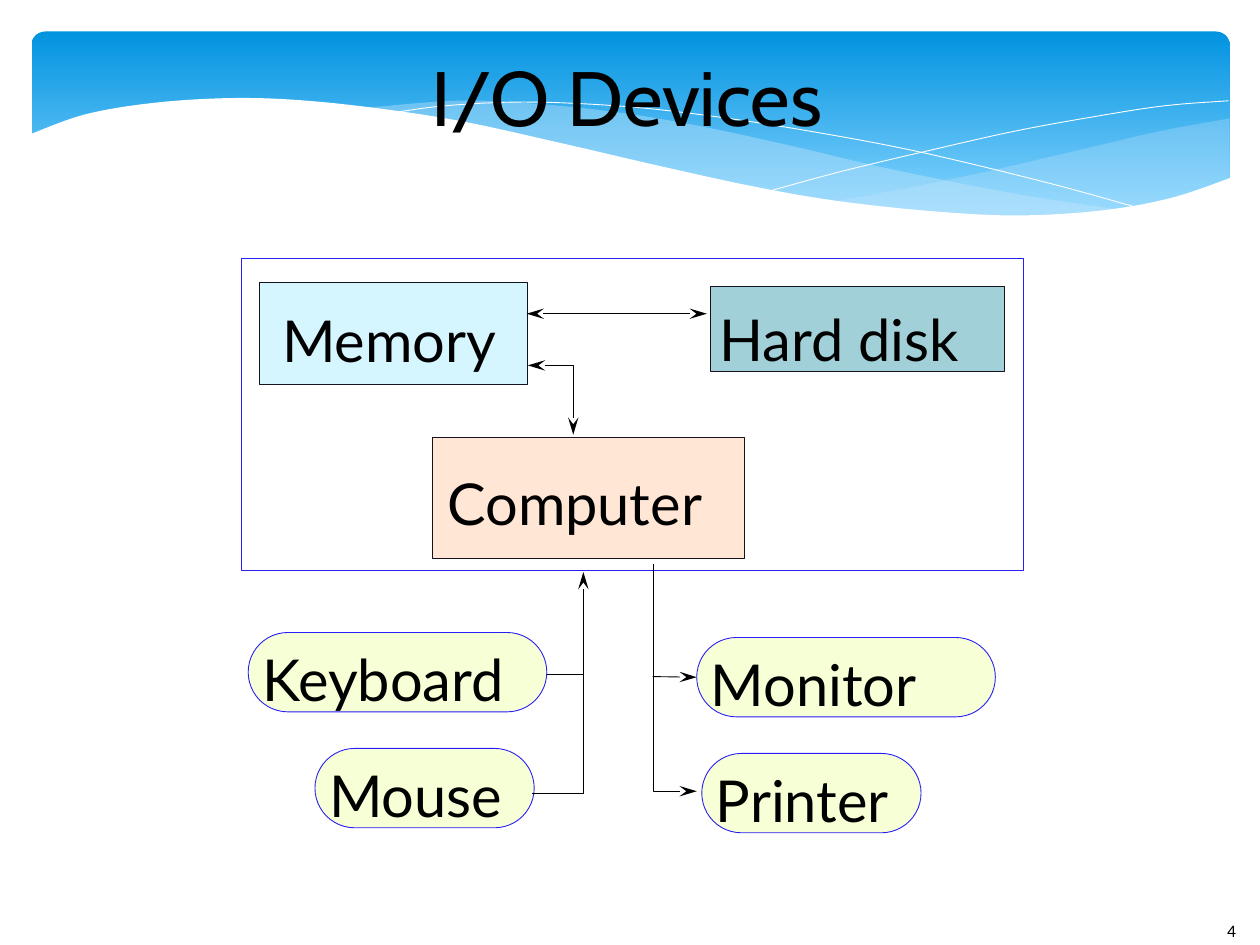
from dataclasses import dataclass

from lxml.etree import SubElement
from pptx import Presentation
from pptx.dml.color import RGBColor
from pptx.enum.shapes import MSO_CONNECTOR as Connector, MSO_SHAPE as Preset
from pptx.enum.text import MSO_ANCHOR as Anchor, PP_ALIGN as Align
from pptx.oxml.ns import qn
from pptx.util import Inches, Pt


@dataclass(frozen=True)
class Theme:
    black: str = "000000"
    white: str = "FFFFFF"
    sky_top: str = "0293E0"
    sky_bottom: str = "83D3FE"
    mist: str = "C6E7FC"
    part_edge: str = "15111D"
    blue_edge: str = "291EF5"
    memory: str = "D5F6FF"
    disk: str = "A2D0D9"
    computer: str = "FFE6D5"
    device: str = "F6FFD5"
    title_font: str = "Cabin"
    label_font: str = "Lato"
    number_font: str = "Calibri"
    title_size: int = 44
    label_size: int = 33
    number_size: int = 10
    hairline: float = 0.5


def smooth(knots, steps=8):
    padded = [knots[0], *knots, knots[-1]]
    points = [knots[0]]
    for a, b, c, d in zip(padded, padded[1:], padded[2:], padded[3:]):
        for step in range(1, steps + 1):
            t = step / steps
            points.append(tuple(
                0.5 * (2 * q + (r - p) * t + (2 * p - 5 * q + 4 * r - s) * t**2
                       + (3 * q - p - 3 * r + s) * t**3)
                for p, q, r, s in zip(a, b, c, d)))
    return points


class SlideBuilder:
    def __init__(self, slide, theme):
        self.slide = slide
        self.theme = theme

    def paint(self, shape, fill=None, edge=None, opacity=None):
        shape.shadow.inherit = False
        if fill:
            shape.fill.solid()
            shape.fill.fore_color.rgb = RGBColor.from_string(fill)
            if opacity:
                color = shape.fill._xPr.find(qn("a:solidFill"))[0]
                SubElement(color, qn("a:alpha"), val=str(opacity * 1000))
        else:
            shape.fill.background()
        if edge:
            self.stroke(shape, edge)
        else:
            shape.line.fill.background()

    def stroke(self, shape, color, ends=()):
        shape.line.color.rgb = RGBColor.from_string(color)
        shape.line.width = Pt(self.theme.hairline)
        line = shape.line._get_or_add_ln()
        for end in ("headEnd", "tailEnd"):
            if end in ends:
                SubElement(line, qn(f"a:{end}"), type="stealth", w="med", len="lg")

    def set_text(self, shape, text, font, size, align=Align.LEFT, anchor=Anchor.TOP,
                 margins=(0, 0, 0, 0)):
        frame = shape.text_frame
        frame.word_wrap = True
        frame.vertical_anchor = anchor
        (frame.margin_left, frame.margin_top,
         frame.margin_right, frame.margin_bottom) = map(Inches, margins)
        frame.text = text
        paragraph = frame.paragraphs[0]
        paragraph.alignment = align
        run_font = paragraph.runs[0].font
        run_font.name = font
        run_font.size = Pt(size)
        run_font.color.rgb = RGBColor.from_string(self.theme.black)

    def text(self, bounds, *content, **layout):
        self.set_text(self.slide.shapes.add_textbox(*map(Inches, bounds)), *content, **layout)

    def box(self, bounds, fill=None, edge=None, label=None, offset=(0, 0),
            preset=Preset.RECTANGLE):
        shape = self.slide.shapes.add_shape(preset, *map(Inches, bounds))
        self.paint(shape, fill, edge)
        if label:
            self.set_text(shape, label, self.theme.label_font, self.theme.label_size,
                          margins=(*offset, 0, 0))
        return shape

    def capsule(self, bounds, label):
        shape = self.box(bounds, self.theme.device, self.theme.blue_edge, label,
                         (0.02, 0), Preset.ROUNDED_RECTANGLE)
        shape.adjustments[0] = 0.5
        return shape

    def panel(self, bounds):
        shape = self.box(bounds, preset=Preset.ROUNDED_RECTANGLE)
        shape.adjustments[0] = 0.07
        shape.fill.gradient()
        shape.fill.gradient_angle = 270
        stops = ((0, self.theme.sky_top), (0.9, self.theme.sky_bottom))
        for stop, (position, color) in zip(shape.fill.gradient_stops, stops):
            stop.position = position
            stop.color.rgb = RGBColor.from_string(color)

    def outline(self, points, fill=None, edge=None, opacity=None, ends=()):
        start, *rest = [(Inches(x), Inches(y)) for x, y in points]
        builder = self.slide.shapes.build_freeform(*start)
        builder.add_line_segments(rest, close=bool(fill))
        shape = builder.convert_to_shape()
        self.paint(shape, fill, None, opacity)
        if edge:
            self.stroke(shape, edge, ends)

    def line(self, start, finish, ends=(), target=None):
        connector = self.slide.shapes.add_connector(
            Connector.STRAIGHT, *map(Inches, (*start, *finish)))
        if target:
            connector.end_connect(target, 1)
        SubElement(connector._element.spPr, qn("a:effectLst"))
        self.stroke(connector, self.theme.black, ends)


def add_banner(builder):
    theme = builder.theme
    builder.panel((0.25, 0.25, 9.51, 1.56))
    right_wave = (
        smooth([(9.76, 0.94), (9.21, 1.04), (8.61, 1.18), (7.79, 1.37), (7.06, 1.52), (6.61, 1.6)])
        + smooth([(6.61, 1.6), (7.19, 1.67), (7.81, 1.72), (8.35, 1.72), (8.89, 1.66),
                  (9.35, 1.56), (9.76, 1.41)]))
    long_wave = (
        smooth([(8.93, 1.67), (8.07, 1.54), (7.06, 1.34), (6.29, 1.16), (5.55, 1), (4.89, 0.89),
                (4.2, 0.82), (3.61, 0.8), (2.86, 0.86)])
        + smooth([(2.86, 0.86), (3.62, 0.97), (4.49, 1.16), (5.3, 1.35), (6.01, 1.5), (6.8, 1.63),
                  (7.48, 1.7), (8.18, 1.73), (8.93, 1.67)]))
    builder.outline(right_wave, theme.mist, opacity=29)
    builder.outline(long_wave, theme.mist, opacity=40)
    builder.outline(smooth([(3.09, 0.9), (3.53, 0.84), (4.16, 0.81), (4.89, 0.84), (5.56, 0.91),
                            (6.36, 1.03), (7.27, 1.2), (8.31, 1.45), (9.07, 1.66)]),
                    edge=theme.white)
    builder.outline(smooth([(6.13, 1.51), (6.72, 1.35), (7.48, 1.17), (8.06, 1.04), (8.66, 0.93),
                            (9.24, 0.84), (9.75, 0.8)]), edge=theme.white)
    lower_edge = smooth([(9.77, 1.41), (9.3, 1.57), (8.75, 1.67), (8.09, 1.71), (7.44, 1.68),
                         (6.68, 1.6), (6.03, 1.49), (5.29, 1.33), (4.47, 1.14), (3.65, 0.96),
                         (2.92, 0.85), (2.3, 0.79), (1.77, 0.78), (1.19, 0.82), (0.67, 0.91),
                         (0.23, 1.07)])
    builder.outline(lower_edge + [(0.23, 2.24), (9.77, 2.24)], theme.white)


def add_diagram(builder):
    theme = builder.theme
    both = ("headEnd", "tailEnd")
    forward = ("tailEnd",)
    for bounds, fill, label, offset in (
        ((5.64, 2.27, 2.33, 0.68), theme.disk, "Hard disk", (0.07, 0.14)),
        ((3.43, 3.47, 2.48, 0.96), theme.computer, "Computer", (0.12, 0.24)),
        ((2.06, 2.24, 2.13, 0.81), theme.memory, "Memory", (0.18, 0.18)),
    ):
        builder.box(bounds, fill, theme.part_edge, label, offset)
    builder.outline([(4.19, 2.9), (4.55, 2.9), (4.55, 3.45)], edge=theme.black, ends=both)
    builder.line((4.18, 2.49), (5.61, 2.49), both)
    builder.box((1.92, 2.05, 6.2, 2.48), edge=theme.blue_edge)

    devices = {
        label: builder.capsule((left, top, width, 0.63), label)
        for label, left, top, width in (
            ("Keyboard", 1.97, 5.02, 2.37),
            ("Mouse", 2.5, 5.94, 1.74),
            ("Monitor", 5.53, 5.06, 2.37),
            ("Printer", 5.57, 5.98, 1.74),
        )
    }
    builder.line((4.63, 5.35), (4.63, 4.54), forward)
    builder.outline([(4.34, 5.35), (4.63, 5.35), (4.63, 6.3), (4.22, 6.3)], edge=theme.black)
    builder.outline([(5.19, 4.48), (5.19, 6.28), (5.53, 6.28)], edge=theme.black, ends=forward)
    builder.line((5.18, 5.37), (5.53, 5.37), forward, devices["Monitor"])


def main():
    presentation = Presentation()
    presentation.slide_width = Inches(10)
    presentation.slide_height = Inches(7.5)
    theme = Theme()
    builder = SlideBuilder(presentation.slides.add_slide(presentation.slide_layouts[6]), theme)
    add_banner(builder)
    builder.text((9.64, 7.25, 0.36, 0.25), "4", theme.number_font, theme.number_size,
                 margins=(0.1, 0.05, 0.1, 0))
    builder.text((0.92, 0.25, 8.11, 1.02), "I/O Devices", theme.title_font, theme.title_size,
                 align=Align.CENTER, anchor=Anchor.MIDDLE)
    add_diagram(builder)
    presentation.save("out.pptx")


if __name__ == "__main__":
    main()
